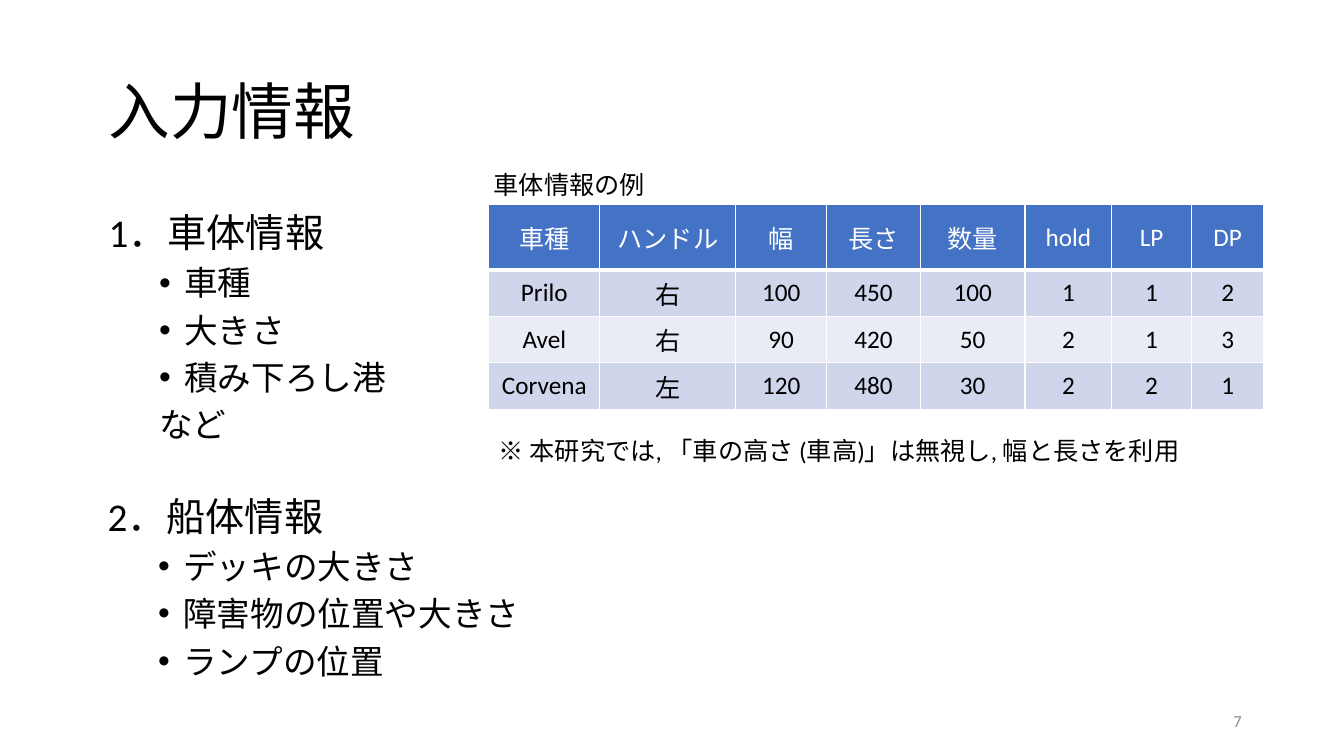
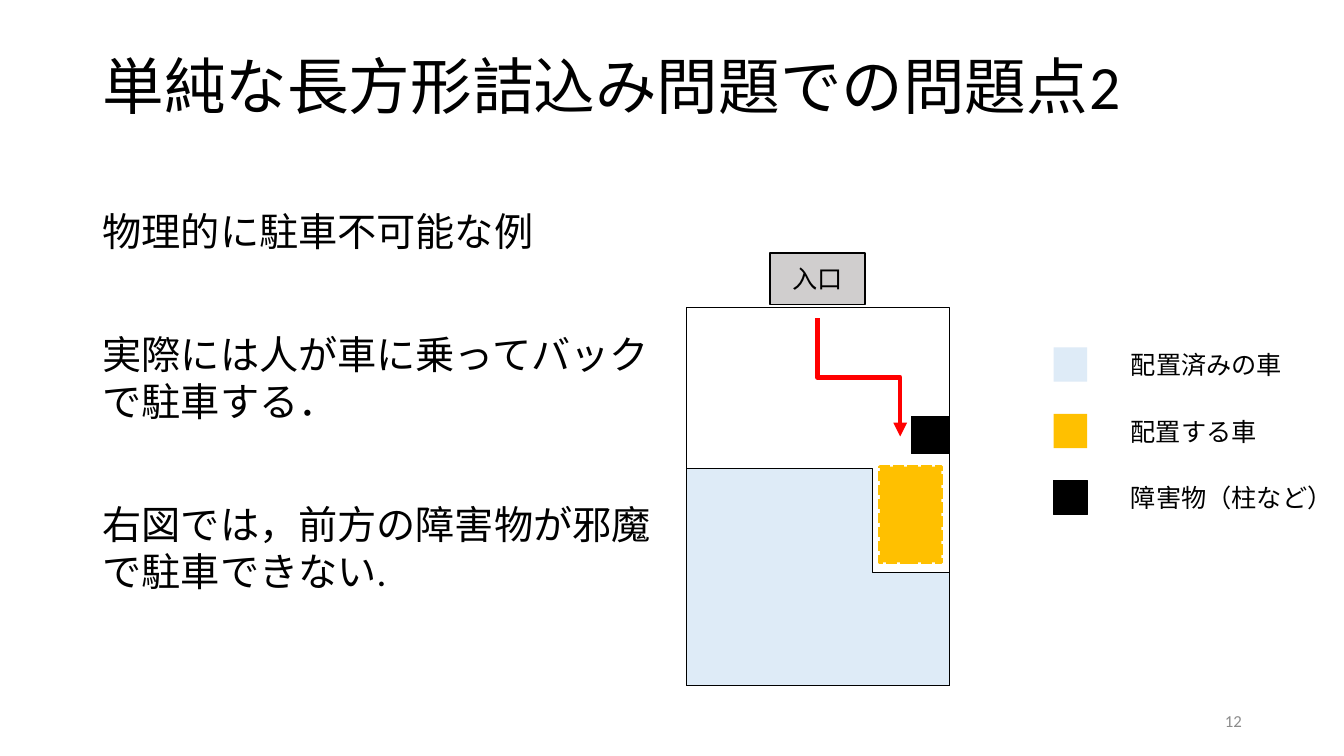
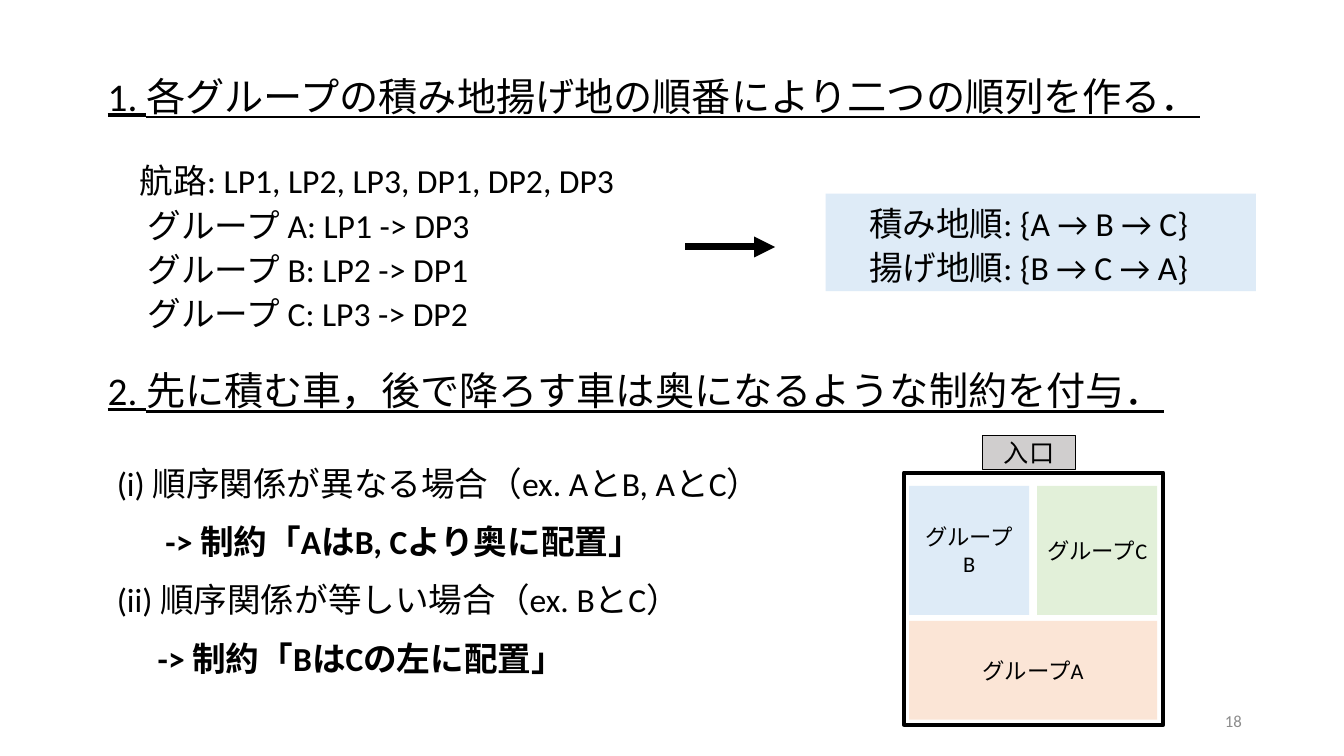
import dataclasses

import lxml.etree
import pptx
import pptx.dml.color
import pptx.enum.dml
import pptx.enum.shapes
import pptx.enum.text
import pptx.oxml.ns
import pptx.util

ALIGN = pptx.enum.text.PP_ALIGN
ANCHOR = pptx.enum.text.MSO_ANCHOR
SHAPE = pptx.enum.shapes.MSO_SHAPE
CONNECTOR = pptx.enum.shapes.MSO_CONNECTOR
qn = pptx.oxml.ns.qn

COLS, ROWS = 40, 22.5
UNIT = pptx.util.Inches(40 / 3) / COLS

FONT = "Calibri"
BLACK, WHITE, RED = "000000", "FFFFFF", "FF0000"
NUMBER_GREY, ENTRANCE_GREY = "8C8C8C", "D0CECE"
PALE_BLUE, PALE_GREEN, PALE_ORANGE, AMBER = "DEEBF7", "E2F0D9", "FBE5D6", "FFC000"
HEADER_BLUE, BAND_DARK, BAND_LIGHT = "4472C4", "CFD5EA", "E9EBF5"
TITLE, HEADING, BODY, LABEL, GROUP, NUMBER = 44, 28, 24, 18, 16, 12


@dataclasses.dataclass
class Para:
    """One paragraph; left and hang are grid units, before is points."""
    text: str
    size: float = LABEL
    color: str = BLACK
    align: ALIGN = ALIGN.LEFT
    spacing: float = 1.0
    before: float = 0
    left: float = 0
    hang: float = 0
    bullet: bool = False
    bold: bool = False
    underline: bool = False


def grid(*values):
    """Turn grid columns or rows into lengths."""
    return [pptx.util.Emu(round(v * UNIT)) for v in values]


def rgb(color):
    return pptx.dml.color.RGBColor.from_string(color)


def write(tf, paras, anchor=ANCHOR.TOP, wrap=True):
    tf.word_wrap = wrap
    tf.vertical_anchor = anchor
    for i, para in enumerate(paras):
        p = tf.add_paragraph() if i else tf.paragraphs[0]
        p.alignment = para.align
        p.line_spacing = para.spacing
        p.space_before = pptx.util.Pt(para.before)
        pPr = p._p.get_or_add_pPr()
        left, hang = grid(para.left, para.hang)
        pPr.set("marL", str(left))
        pPr.set("indent", str(-hang))
        if para.bullet:
            lxml.etree.SubElement(pPr, qn("a:buFont")).set("typeface", "Arial")
            lxml.etree.SubElement(pPr, qn("a:buChar")).set("char", "•")
        r = p.add_run()
        r.text = para.text
        r.font.name = FONT
        r.font.size = pptx.util.Pt(para.size)
        r.font.bold = para.bold
        r.font.underline = para.underline
        r.font.color.rgb = rgb(para.color)


def text(s, at, *paras, anchor=ANCHOR.TOP, wrap=True):
    write(s.shapes.add_textbox(*grid(*at)).text_frame, paras, anchor, wrap)


def block(s, at, fill=None, line=None, width=1, kind=SHAPE.RECTANGLE):
    sp = s.shapes.add_shape(kind, *grid(*at))
    sp.shadow.inherit = False
    if fill:
        sp.fill.solid()
        sp.fill.fore_color.rgb = rgb(fill)
    else:
        sp.fill.background()
    if line:
        sp.line.color.rgb = rgb(line)
        sp.line.width = pptx.util.Pt(width)
    else:
        sp.line.fill.background()
    return sp


def labelled(s, at, label, fill, line=None, size=LABEL):
    sp = block(s, at, fill, line)
    write(sp.text_frame, [Para(label, size, align=ALIGN.CENTER)], ANCHOR.MIDDLE)


def arrow(s, kind, ends, color, width):
    c = s.shapes.add_connector(kind, *grid(*ends))
    c.line.color.rgb = rgb(color)
    c.line.width = pptx.util.Pt(width)
    spPr = c._element.spPr
    lxml.etree.SubElement(spPr.find(qn("a:ln")), qn("a:tailEnd")).set("type", "triangle")
    lxml.etree.SubElement(spPr, qn("a:effectLst"))
    return c


def down_elbow(s, x1, y1, x2, y2, color, width):
    """Arrow that leaves downwards, steps sideways and goes on down."""
    cx, cy = (x1 + x2) / 2, (y1 + y2) / 2
    dx, dy = (y2 - y1) / 2, (x2 - x1) / 2
    c = arrow(s, CONNECTOR.ELBOW, (cx + dx, cy - dy, cx - dx, cy + dy), color, width)
    c._element.spPr.find(qn("a:xfrm")).set("rot", str(270 * 60000))


def border(cell, top, bottom):
    tcPr = cell._tc.get_or_add_tcPr()
    sides = {"a:lnL": 1, "a:lnR": 1, "a:lnT": top, "a:lnB": bottom}
    for i, (side, width) in enumerate(sides.items()):
        ln = lxml.etree.Element(qn(side), w=str(pptx.util.Pt(width)))
        fill = lxml.etree.SubElement(ln, qn("a:solidFill"))
        lxml.etree.SubElement(fill, qn("a:srgbClr")).set("val", WHITE)
        tcPr.insert(i, ln)


def table(s, left, top, widths, heights, rows):
    size = grid(left, top, sum(widths), sum(heights))
    t = s.shapes.add_table(len(rows), len(widths), *size).table
    for col, width in zip(t.columns, grid(*widths)):
        col.width = width
    for row, height in zip(t.rows, grid(*heights)):
        row.height = height
    for i, values in enumerate(rows):
        fill = HEADER_BLUE if i == 0 else (BAND_LIGHT, BAND_DARK)[i % 2]
        color = BLACK if i else WHITE
        for j, value in enumerate(values):
            cell = t.cell(i, j)
            cell.fill.solid()
            cell.fill.fore_color.rgb = rgb(fill)
            border(cell, 3 if i == 1 else 1, 1 if i else 3)
            cell.vertical_anchor = ANCHOR.MIDDLE
            write(cell.text_frame, [Para(value, color=color, align=ALIGN.CENTER)],
                  ANCHOR.MIDDLE)


def new_slide(prs, number):
    s = prs.slides.add_slide(prs.slide_layouts[6])
    text(s, (28.26, 20.85, 9, 1.2),
         Para(str(number), NUMBER, NUMBER_GREY, ALIGN.RIGHT), anchor=ANCHOR.MIDDLE)
    return s


def title(s, at, words):
    text(s, at, Para(words, TITLE, spacing=0.9), anchor=ANCHOR.MIDDLE)


def bullets(*items):
    return [Para(item, BODY, before=5, left=2.25, hang=0.75, bullet=True) for item in items]


def input_slide(prs):
    s = new_slide(prs, 7)
    title(s, (2.94, 1.23, 34.5, 4.35), "入力情報")
    text(s, (2.94, 5.91, 11.43, 8.13),
         Para("1．車体情報", HEADING, spacing=1.1, before=10),
         *bullets("車種", "大きさ", "積み下ろし港"),
         Para("など", BODY, before=5, left=1.5))
    text(s, (2.91, 14.49, 13.95, 7.17),
         Para("2．船体情報", HEADING, before=10),
         *bullets("デッキの大きさ", "障害物の位置や大きさ", "ランプの位置"))
    text(s, (14.4, 4.89, 5.16, 1.2), Para("車体情報の例"), wrap=False)
    table(s, 14.55, 6.09,
          [3.3, 4.05, 2.7, 2.79, 3.12, 2.58, 2.37, 2.16],
          [1.95] + [1.38] * 3,
          [["車種", "ハンドル", "幅", "長さ", "数量", "hold", "LP", "DP"],
           ["Prilo", "右", "100", "450", "100", "1", "1", "2"],
           ["Avel", "右", "90", "420", "50", "2", "1", "3"],
           ["Corvena", "左", "120", "480", "30", "2", "2", "1"]])
    text(s, (14.55, 12.81, 21.66, 1.2),
         Para("※ 本研究では, 「車の高さ (車高)」は無視し, 幅と長さを利用"))


def packing_slide(prs):
    s = new_slide(prs, 12)
    title(s, (2.76, 1.2, 34.5, 2.91), "単純な長方形詰込み問題での問題点2")
    text(s, (2.76, 6.03, 17.25, 14.43),
         Para("物理的に駐車不可能な例", HEADING, before=10),
         Para("実際には人が車に乗ってバックで駐車する．", HEADING, before=54),
         Para("右図では，前方の障害物が邪魔で駐車できない.", HEADING, before=54))

    block(s, (20.43, 9.15, 7.83, 11.25), WHITE, BLACK)
    parked = block(s, (20.43, 13.95, 7.83, 6.45), PALE_BLUE, BLACK, kind=SHAPE.CORNER)
    parked.adjustments[0], parked.adjustments[1] = 0.52, 0.86
    car = block(s, (26.19, 13.89, 1.83, 2.85), AMBER, AMBER, 2.5)
    car.line.dash_style = pptx.enum.dml.MSO_LINE.SQUARE_DOT
    block(s, (27.12, 12.39, 1.14, 1.11), BLACK, BLACK)
    labelled(s, (22.92, 7.53, 2.82, 1.53), "入口", ENTRANCE_GREY, BLACK)
    down_elbow(s, 24.33, 9.48, 26.79, 12.99, RED, 3.25)

    legend = [("配置済みの車", PALE_BLUE, None, 5.16),
              ("配置する車", AMBER, None, 4.38),
              ("障害物（柱など）", BLACK, BLACK, 6.66)]
    for i, (label, fill, line, width) in enumerate(legend):
        y = 10.26 + 1.98 * i
        block(s, (31.36, y + 0.08, 1, 1.02), fill, line)
        text(s, (33.36, y, width, 1.2), Para(label), wrap=False)


def constraint_slide(prs):
    s = new_slide(prs, 18)
    headings = [(1.86, "1. 各グループの積み地揚げ地の順番により二つの順列を作る．"),
                (10.62, "2. 先に積む車，後で降ろす車は奥になるような制約を付与．")]
    for y, words in headings:
        text(s, (2.91, y, 35.55, 1.89),
             Para(words, HEADING, spacing=1.1, before=10, underline=True))

    routes = ["グループ A: LP1 -> DP3", "グループ B: LP2 -> DP1", "グループ C: LP3 -> DP2"]
    text(s, (3.87, 4.02, 15.72, 6.03),
         Para("航路: LP1, LP2, LP3, DP1, DP2, DP3", BODY, spacing=1.5),
         *[Para(route, BODY, spacing=1.1, left=0.23) for route in routes])
    arrow(s, CONNECTOR.STRAIGHT, (20.4, 7.35, 23.07, 7.35), BLACK, 5)
    orders = block(s, (24.57, 5.76, 12.81, 2.91), PALE_BLUE)
    write(orders.text_frame,
          [Para(order, BODY, spacing=1.1, left=1)
           for order in ("積み地順: {A → B → C}", "揚げ地順: {B → C → A}")])

    cases = [("(i) 順序関係が異なる場合（ex. AとB, AとC）", 0, False),
             ("-> 制約「AはB, Cより奥に配置」", 1.45, True),
             ("(ii) 順序関係が等しい場合（ex. BとC）", 0, False),
             ("-> 制約「BはCの左に配置」", 1.22, True)]
    text(s, (3.18, 13.5, 23.07, 7.5),
         *[Para(words, BODY, spacing=1.1, before=10, left=left, bold=bold)
           for words, left, bold in cases])

    block(s, (26.91, 14.07, 7.71, 7.5), line=BLACK, width=3)
    labelled(s, (27.06, 18.48, 7.38, 2.94), "グループA", PALE_ORANGE, size=GROUP)
    labelled(s, (27.06, 14.46, 3.57, 3.84), "グループB", PALE_BLUE, size=GROUP)
    labelled(s, (30.87, 14.46, 3.57, 3.84), "グループC", PALE_GREEN, size=GROUP)
    labelled(s, (29.25, 12.96, 2.76, 1.02), "入口", ENTRANCE_GREY, BLACK)


def main():
    prs = pptx.Presentation()
    prs.slide_width, prs.slide_height = grid(COLS, ROWS)
    input_slide(prs)
    packing_slide(prs)
    constraint_slide(prs)
    prs.save("out.pptx")


if __name__ == "__main__":
    main()
